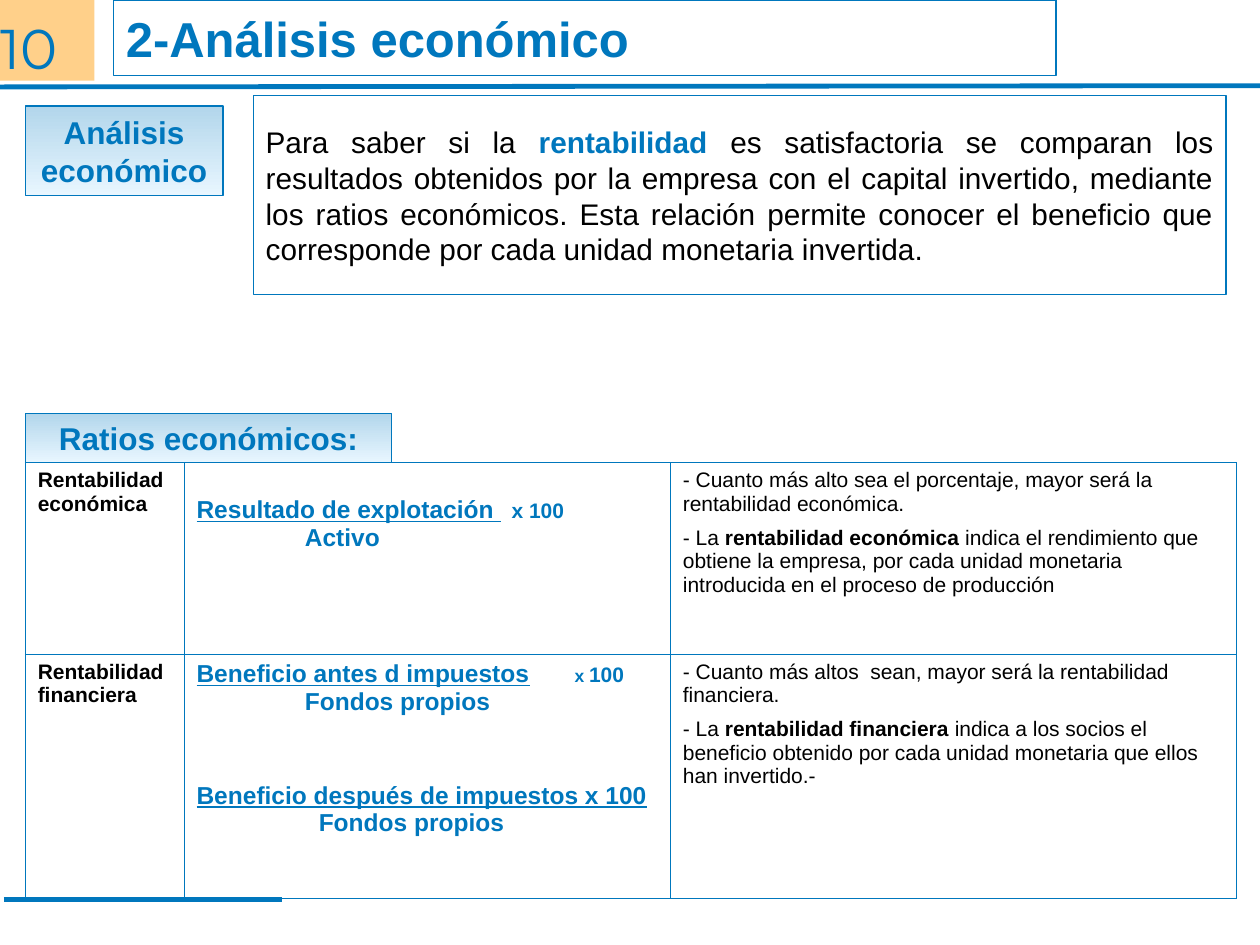
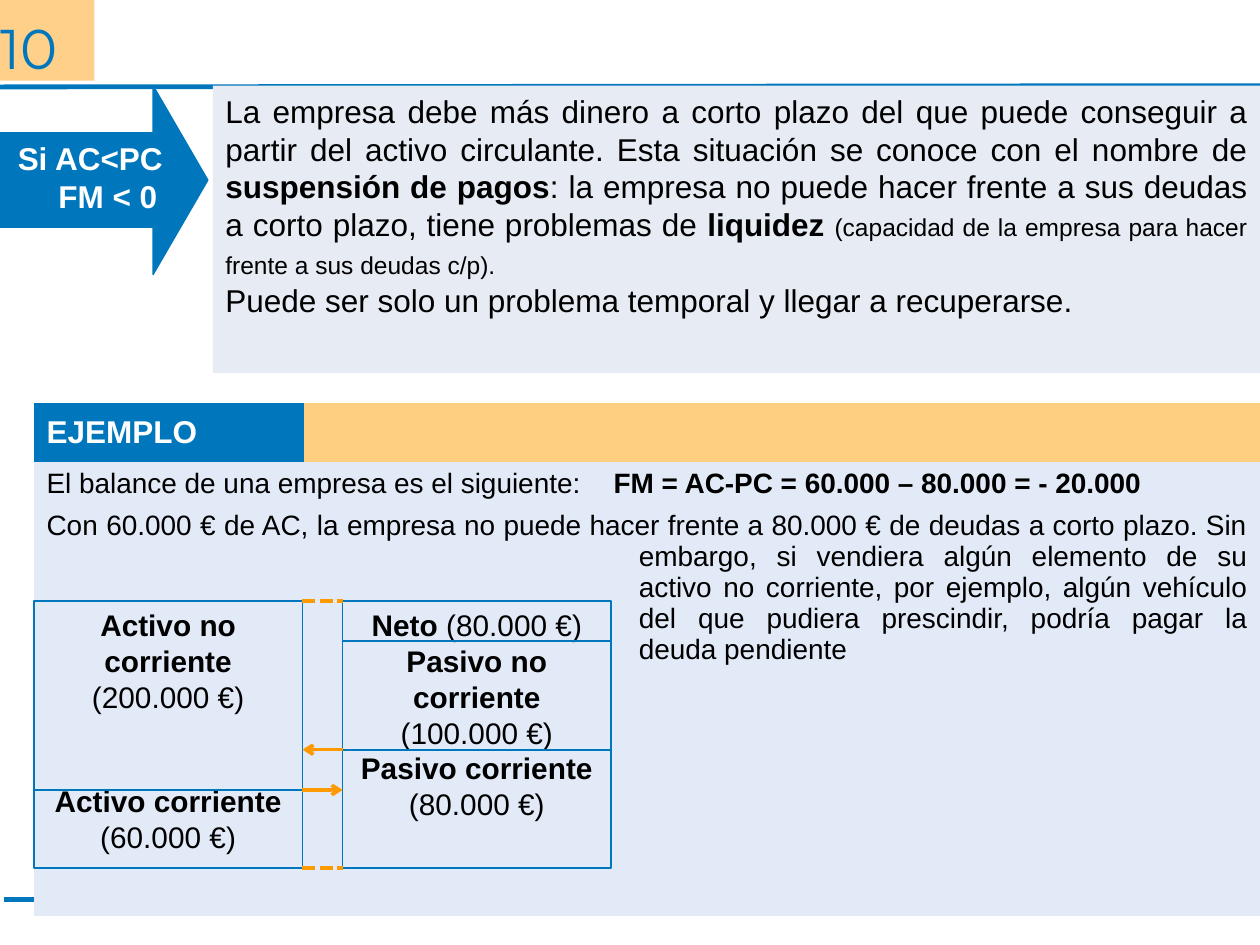
"""Build two slides on economic ratios and working capital."""
from lxml.etree import SubElement
from pptx import Presentation
from pptx.dml.color import RGBColor
from pptx.enum.dml import MSO_LINE
from pptx.enum.shapes import MSO_CONNECTOR, MSO_SHAPE as SHAPE
from pptx.enum.text import MSO_ANCHOR as ANCHOR, PP_ALIGN as ALIGN
from pptx.oxml.ns import qn
from pptx.util import Inches, Pt

COLORS = {
    "blue": "0077BD", "orange": "FF9900", "band": "FFD08A", "gold": "FECF80",
    "panel": "E6EBF4", "example": "E2EAF7", "top": "B2D6EB", "bottom": "E8F6FF",
    "black": "000000", "white": "FFFFFF",
}
PAINT = {name: RGBColor.from_string(value) for name, value in COLORS.items()}
COLUMNS, ROWS = 100, 75
CELL = Inches(0.1)
NO_STYLE = "{2D5ABB26-0587-4C30-8999-92F81FD0307C}"


def write(frame, spans, size=12, color="black", bold=False, underline=False, font="Arial",
          align=ALIGN.LEFT, before=0, after=0, spacing=None, indent=0, hanging=0, tab=None):
    """Add one paragraph; spans is a string or a list of (text, changes)."""
    para = frame.paragraphs[0] if not frame.paragraphs[0].runs else frame.add_paragraph()
    properties = para._p.get_or_add_pPr()
    properties.set("marL", str(Inches(indent)))
    properties.set("indent", str(-Inches(hanging)))
    if tab:
        stops = SubElement(properties, qn("a:tabLst"))
        SubElement(stops, qn("a:tab"), pos=str(Inches(tab)), algn="l")
    para.alignment = align
    para.space_before, para.space_after = Pt(before), Pt(after)
    if spacing:
        para.line_spacing = spacing
    for text, changes in [(spans, {})] if isinstance(spans, str) else spans:
        look = {"size": size, "color": color, "bold": bold, "underline": underline, **changes}
        span = para.add_run()
        span.text = text
        span.font.name, span.font.size = font, Pt(look["size"])
        span.font.bold, span.font.underline = look["bold"], look["underline"]
        span.font.color.rgb = PAINT[look["color"]]


def draw_line(page, start, end, color="blue", width=1, dash=None, arrow=False):
    """Draw a straight line between two grid points."""
    ends = [int(value * CELL) for value in (*start, *end)]
    line = page.shapes.add_connector(MSO_CONNECTOR.STRAIGHT, *ends)
    line.line.color.rgb = PAINT[color]
    line.line.width = Pt(width)
    if dash:
        line.line.dash_style = dash
    if arrow:
        SubElement(line.line._get_or_add_ln(), qn("a:tailEnd"), type="arrow")
    SubElement(line._element.spPr, qn("a:effectLst"))


deck = Presentation()
deck.slide_width, deck.slide_height = COLUMNS * CELL, ROWS * CELL
ratios_page, example_page = pages = [deck.slides.add_slide(deck.slide_layouts[6]) for _ in range(2)]
for page in pages:
    draw_line(page, (0, 6.9), (COLUMNS, 6.8), width=2.75)
    draw_line(page, (0.3, 71.4), (22.4, 71.4), width=2.75)

BOLD = {"bold": True}
formula = {"size": 14, "color": "blue", "bold": True}
ruled = {"underline": True}
ratio_cells = [
    [
        [("Rentabilidad económica", BOLD)],
        [([("Resultado de explotación ", ruled), ("\t", {}), ("x 100", {"size": 12})],
          {**formula, "tab": 2.52}),
         ("Activo", {**formula, "indent": 0.86})],
        [("- Cuanto más alto sea el porcentaje, mayor será la rentabilidad económica.", {"after": 6}),
         ([("- La ", {}), ("rentabilidad económica", BOLD),
           (" indica el rendimiento que obtiene la empresa, por cada unidad monetaria introducida "
            "en el proceso de producción", {})], {})],
    ],
    [
        [("Rentabilidad financiera", BOLD)],
        [([("Beneficio antes d impuestos\t", ruled), ("x ", {"size": 10}), ("100", {"size": 12})],
          {**formula, "tab": 2.75}),
         ("Fondos propios", {**formula, "indent": 0.86, "after": 6}),
         ("Beneficio después de impuestos x 100", {**formula, **ruled, "before": 32}),
         ("Fondos propios", {**formula, "indent": 0.97})],
        [("- Cuanto más altos  sean, mayor será la rentabilidad financiera.", {"after": 6}),
         ([("- La ", {}), ("rentabilidad financiera", BOLD),
           (" indica a los socios el beneficio obtenido por cada unidad monetaria que ellos "
            "han invertido.-", {})], {})],
    ],
]
body = {"size": 16, "align": ALIGN.JUSTIFY}
example_cells = [
    [[("EJEMPLO", {"size": 18, "color": "white", "bold": True})], []],
    [[([("El balance de una empresa es el siguiente:\t", {}),
        ("FM = AC-PC = 60.000 – 80.000 = - 20.000", BOLD)], {**body, "tab": 4.85, "after": 6}),
      ("Con 60.000 € de AC, la empresa no puede hacer frente a 80.000 € de deudas a corto plazo. "
       "Sin embargo, si vendiera algún elemento de su activo no corriente, por ejemplo, algún "
       "vehículo del que pudiera prescindir, podría pagar la deuda pendiente",
       {**body, "indent": 4.7, "hanging": 4.7})], []],
]
tables = [
    (ratios_page, (2, 36.7), (12.6, 38.6, 44.9), (15.2, 19.4), ratio_cells, None),
    (example_page, (2.7, 32), (21.4, 75.9), (4.7, 36), example_cells,
     [["blue", "gold"], ["example", "example"]]),
]
grids = []
for page, (left, top), widths, heights, cells, fills in tables:
    area = [int(value * CELL) for value in (left, top, sum(widths), sum(heights))]
    grid = page.shapes.add_table(len(heights), len(widths), *area).table
    grid.first_row = grid.horz_banding = False
    grid._tbl.tblPr[0].text = NO_STYLE
    for column, width in zip(grid.columns, widths):
        column.width = int(width * CELL)
    for row, height in zip(grid.rows, heights):
        row.height = int(height * CELL)
    for r, row in enumerate(cells):
        for c, paragraphs in enumerate(row):
            cell = grid.cell(r, c)
            for spans, look in paragraphs:
                write(cell.text_frame, spans, **look)
            if fills:
                cell.fill.solid()
                cell.fill.fore_color.rgb = PAINT[fills[r][c]]
                continue
            for side in ("lnL", "lnR", "lnT", "lnB"):
                border = SubElement(cell._tc.get_or_add_tcPr(), qn(f"a:{side}"), w=str(Pt(0.45)))
                SubElement(SubElement(border, qn("a:solidFill")), qn("a:srgbClr"), val=COLORS["blue"])
            cell.fill.background()
    grids.append(grid)
ratio_grid, example_grid = grids
ratio_grid.cell(0, 1).margin_top = Inches(0.27)
example_grid.cell(0, 0).vertical_anchor = ANCHOR.MIDDLE
example_grid.cell(1, 0).merge(example_grid.cell(1, 1))

assets, debts, balance_width = 2.7, 27.2, 21.3
balance_top, balance_height = 47.7, 21.2
heading = {"size": 18, "color": "blue", "bold": True, "align": ALIGN.CENTER}
arrow_text = {**heading, "color": "white"}
intro = {"size": 17, "align": ALIGN.JUSTIFY}
panel = {"size": 18, "align": ALIGN.JUSTIFY}
amount = {"size": 17, "align": ALIGN.CENTER}
account = {**amount, "bold": True}
number = [("10", {"size": 32, "color": "blue", "font": "Montserrat", "spacing": 1.2})]
PROCESS, RECTANGLE = SHAPE.FLOWCHART_PROCESS, SHAPE.RECTANGLE
boxes = [
    *[(page, RECTANGLE, (0, 0, 7.5, 6.4), "band", None, ANCHOR.TOP, number) for page in pages],
    (ratios_page, RECTANGLE, (20.1, 7.6, 77.2, 15.8), None, "blue", ANCHOR.MIDDLE, [
        ([("Para saber si la ", {}), ("rentabilidad", {"color": "blue", "bold": True}),
          (" es satisfactoria se comparan los resultados obtenidos por la empresa con el capital "
           "invertido, mediante los ratios económicos. Esta relación permite conocer el beneficio "
           "que corresponde por cada unidad monetaria invertida.", {})], intro)]),
    (ratios_page, PROCESS, (2, 8.4, 15.7, 7.1), "gradient", "blue", ANCHOR.MIDDLE,
     [("Análisis económico", heading)]),
    (ratios_page, PROCESS, (2, 32.8, 29.1, 3.9), "gradient", "blue", ANCHOR.MIDDLE,
     [("Ratios económicos:", heading)]),
    (ratios_page, PROCESS, (9, 0, 74.8, 6), None, "blue", ANCHOR.MIDDLE,
     [("2-Análisis económico", {**heading, "size": 28, "align": ALIGN.LEFT})]),
    (example_page, SHAPE.RIGHT_ARROW, (0, 6.8, 16.5, 15), "blue", "blue", ANCHOR.TOP,
     [("Si AC<PC", arrow_text), ("FM < 0", {**arrow_text, "indent": 0.28})]),
    (example_page, RECTANGLE, (16.9, 6.8, 83.1, 22.8), "panel", None, ANCHOR.TOP, [
        ([("La empresa debe más dinero a corto plazo del que puede conseguir a partir del activo "
           "circulante. Esta situación se conoce con el nombre de ", {}),
          ("suspensión de pagos", BOLD),
          (": la empresa no puede hacer frente a sus deudas a corto plazo, tiene problemas de ", {}),
          ("liquidez ", BOLD),
          ("(capacidad de la empresa para hacer frente a sus deudas c/p).", {"size": 14}),
          (" ", {})], panel),
        ("Puede ser solo un problema temporal y llegar a recuperarse.", panel)]),
    (example_page, RECTANGLE, (assets, balance_top, balance_width, balance_height),
     None, "blue", ANCHOR.TOP,
     [("Activo no corriente", account), ("(200.000 €)", amount),
      ("Activo corriente", {**account, "before": 39}), ("(60.000 €)", amount)]),
    (example_page, RECTANGLE, (debts, balance_top, balance_width, balance_height),
     None, "blue", ANCHOR.TOP,
     [([("Neto ", BOLD), ("(80.000 €)", {})], amount),
      ("Pasivo no corriente", account), ("(100.000 €)", amount),
      ("Pasivo corriente", account), ("(80.000 €)", amount)]),
]
for page, kind, area, fill, edge, anchor, paragraphs in boxes:
    box = page.shapes.add_shape(kind, *[int(value * CELL) for value in area])
    box.shadow.inherit = False
    if kind == SHAPE.RIGHT_ARROW:
        box.adjustments[0], box.adjustments[1] = 0.5, 0.29
    if fill == "gradient":
        box.fill.gradient()
        box.fill.gradient_angle = 270
        for stop, shade in zip(box.fill.gradient_stops, ("top", "bottom")):
            stop.color.rgb = PAINT[shade]
    elif fill:
        box.fill.solid()
        box.fill.fore_color.rgb = PAINT[fill]
    else:
        box.fill.background()
    if edge:
        box.line.color.rgb = PAINT[edge]
        box.line.width = Pt(0.75)
    else:
        box.line.fill.background()
    frame = box.text_frame
    frame.word_wrap = True
    frame.vertical_anchor = anchor
    if fill == "band":
        frame.margin_left = frame.margin_top = frame.margin_right = frame.margin_bottom = 0
    for spans, look in paragraphs:
        write(frame, spans, **look)

assets_end = assets + balance_width
current_assets, current_debts = 62.7, 59.5
for left, height in ((assets, current_assets), (debts, 50.9), (debts, current_debts)):
    draw_line(example_page, (left, height), (left + balance_width, height))
for height in (balance_top, balance_top + balance_height):
    draw_line(example_page, (assets_end, height), (debts, height), "orange", 2.5, MSO_LINE.SQUARE_DOT)
for start, end, height in ((assets_end, debts, current_assets), (debts, assets_end, current_debts)):
    draw_line(example_page, (start, height), (end, height), "orange", 2, arrow=True)

deck.save("out.pptx")
